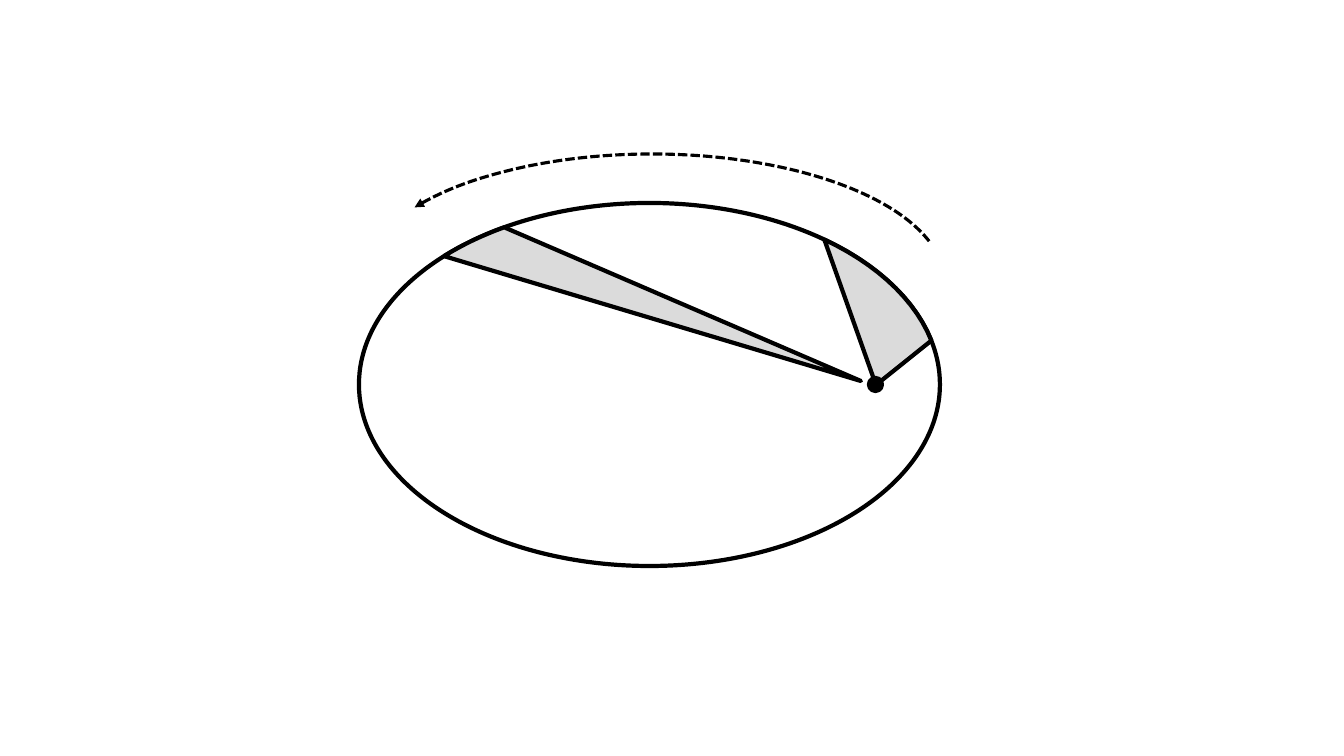
import math
from dataclasses import dataclass

from lxml import etree
from pptx import Presentation
from pptx.dml.color import RGBColor
from pptx.enum.dml import MSO_LINE
from pptx.enum.shapes import MSO_SHAPE
from pptx.oxml.ns import qn
from pptx.util import Emu, Pt

ELLIPSE, ARC = MSO_SHAPE.OVAL, MSO_SHAPE.ARC
DASHED = MSO_LINE.SQUARE_DOT
BLANK_LAYOUT = 6
PX = 914400 / 100.8


@dataclass(frozen=True)
class Theme:
    ink: RGBColor = RGBColor(0x00, 0x00, 0x00)
    sector: RGBColor = RGBColor(0xDB, 0xDB, 0xDB)
    outline: Pt = Pt(3)
    motion: Pt = Pt(2.25)


THEME = Theme()

# Orbit box and focus of the diagram, in px
ORBIT = (359, 203, 581, 363)
FOCUS = (876, 385)


def emu(length):
    return Emu(round(length * PX))


def style(shape, fill=None, **line_format):
    """Set the fill and the outline of a shape."""
    shape.shadow.inherit = False
    if fill is None:
        shape.fill.background()
    else:
        shape.fill.solid()
        shape.fill.fore_color.rgb = fill
    shape.line.color.rgb = THEME.ink
    for name, value in ({"width": THEME.outline} | line_format).items():
        setattr(shape.line, name, value)


def add_preset(diagram, kind, bounds, fill=None, **line_format):
    shape = diagram.shapes.add_shape(kind, *map(emu, bounds))
    style(shape, fill, **line_format)
    return shape


def orbit_point(degrees):
    """Point of the orbit at an angle, clockwise from the right, in EMU."""
    left, top, width, height = ORBIT
    angle = math.radians(degrees)
    return (emu(left + width / 2 * (1 + math.cos(angle))),
            emu(top + height / 2 * (1 + math.sin(angle))))


def add_sector(diagram, apex, start, end, steps):
    """Area swept between two angles of the orbit, as seen from the apex."""
    rim = [orbit_point(start + (end - start) * step / steps)
           for step in range(steps + 1)]
    builder = diagram.shapes.build_freeform(*map(emu, apex))
    builder.add_line_segments(rim, close=True)
    style(builder.convert_to_shape(), THEME.sector)


def add_motion_arrow(diagram, bounds, start, end):
    arrow = add_preset(diagram, ARC, bounds,
                       width=THEME.motion, dash_style=DASHED)
    for index, degrees in enumerate((start, end)):
        arrow.adjustments[index] = degrees * 0.6
    outline = arrow.line._get_or_add_ln()
    etree.SubElement(outline, qn("a:headEnd"), type="triangle")


def main():
    deck = Presentation()
    deck.slide_width, deck.slide_height = emu(1344), emu(756)
    page = deck.slides.add_slide(deck.slide_layouts[BLANK_LAYOUT])
    diagram = page.shapes.add_group_shape()

    # Orbit and the two equal areas
    add_preset(diagram, ELLIPSE, ORBIT)
    add_sector(diagram, (861, 381), 240, 225, 8)
    add_sector(diagram, FOCUS, 346, 307, 13)

    # Body at the focus
    add_preset(diagram, ELLIPSE, (869, 378, 13, 13), THEME.ink)

    # Direction of motion
    add_motion_arrow(diagram, (359, 154, 586, 258), 197.66, 351.43)

    deck.save("out.pptx")


if __name__ == "__main__":
    main()
